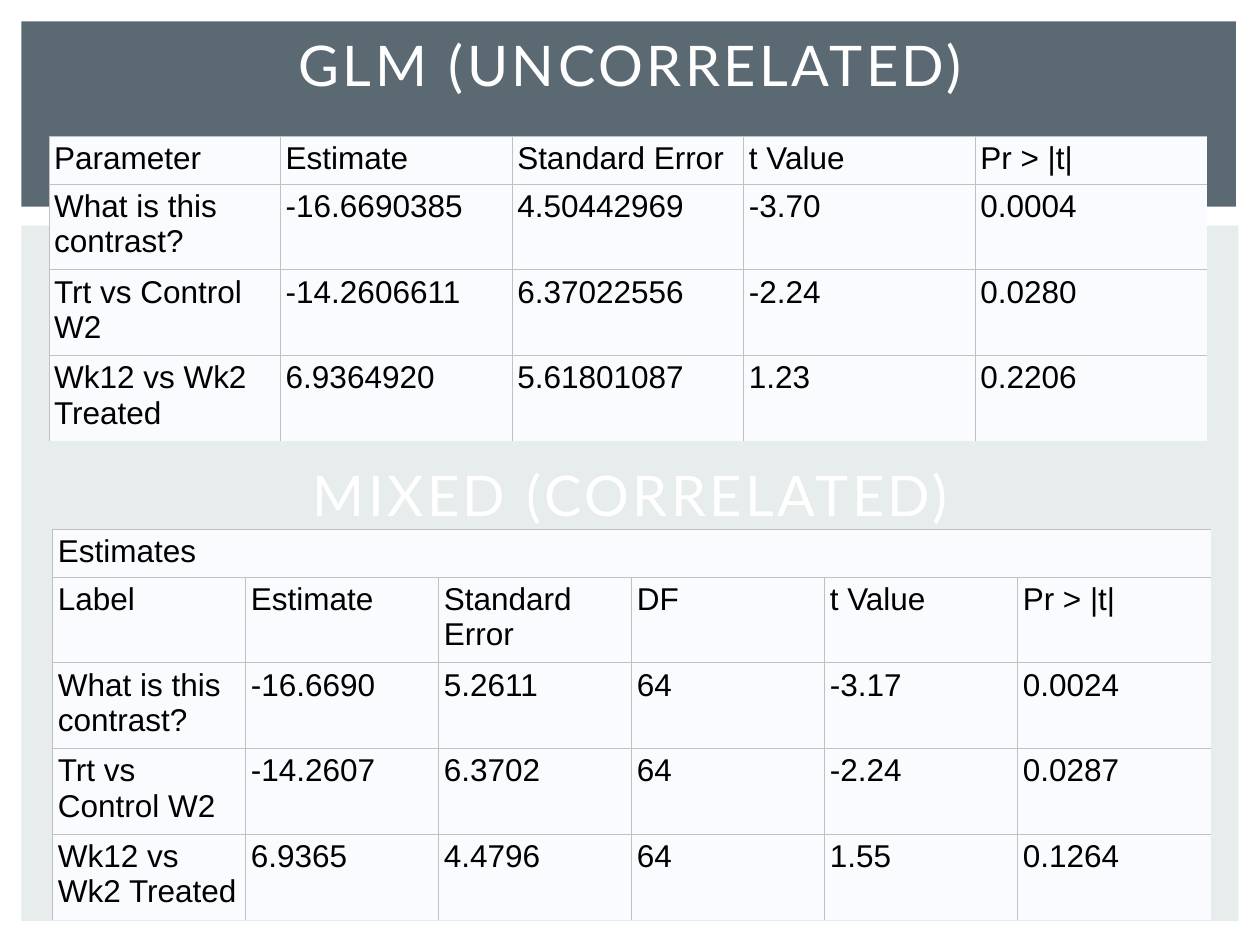
from dataclasses import dataclass

from lxml.etree import SubElement
from pptx import Presentation
from pptx.dml.color import RGBColor
from pptx.enum.shapes import MSO_SHAPE as Shape
from pptx.enum.text import MSO_ANCHOR as Anchor, PP_ALIGN as Align
from pptx.oxml.ns import qn
from pptx.util import Inches, Pt

SLATE, MIST, WHITE, BLACK = "5B6973", "E7ECED", "FFFFFF", "000000"
CELL_FILL, RULE = "FAFBFE", "C1C1C1"
TABLE_WIDTH = 9.19
LINE_HEIGHT, CELL_MARGIN = 0.28, 0.04


@dataclass
class Band:
    left: float
    top: float
    width: float
    height: float
    color: str


@dataclass
class Title:
    text: str
    top: float


@dataclass
class ResultTable:
    left: float
    top: float
    rows: list[list[str]]
    lines: list[int]  # text lines in each row
    has_caption: bool = False


BANDS = [
    Band(0.17, 1.79, 9.66, 5.52, MIST),
    Band(0.17, 0.17, 9.64, 1.47, SLATE),
]
TITLES = [Title("GLM (UNCORRELATED)", -0.07), Title("MIXED (CORRELATED)", 3.35)]
TABLES = [
    ResultTable(0.39, 1.08, [
        ["Parameter", "Estimate", "Standard Error", "t Value", "Pr > |t|"],
        ["What is this contrast?", "-16.6690385", "4.50442969", "-3.70", "0.0004"],
        ["Trt vs Control W2", "-14.2606611", "6.37022556", "-2.24", "0.0280"],
        ["Wk12 vs Wk2 Treated", "6.9364920", "5.61801087", "1.23", "0.2206"],
    ], [1, 2, 2, 2]),
    ResultTable(0.42, 4.2, [
        ["Estimates"],
        ["Label", "Estimate", "Standard Error", "DF", "t Value", "Pr > |t|"],
        ["What is this contrast?", "-16.6690", "5.2611", "64", "-3.17", "0.0024"],
        ["Trt vs Control W2", "-14.2607", "6.3702", "64", "-2.24", "0.0287"],
        ["Wk12 vs Wk2 Treated", "6.9365", "4.4796", "64", "1.55", "0.1264"],
    ], [1, 2, 2, 2, 2], has_caption=True),
]


def rgb(color: str) -> RGBColor:
    return RGBColor.from_string(color)


def write(frame, text: str, *, font: str, size: float, color: str,
          align=Align.LEFT, spacing: float = 0) -> None:
    para = frame.paragraphs[0]
    para.alignment = align
    span = para.add_run()
    span.text = text
    span.font.name = font
    span.font.size = Pt(size)
    span.font.color.rgb = rgb(color)
    if spacing:
        span._r.get_or_add_rPr().set("spc", str(round(spacing * 100)))


def draw_band(slide, band: Band) -> None:
    shape = slide.shapes.add_shape(
        Shape.RECTANGLE, Inches(band.left), Inches(band.top),
        Inches(band.width), Inches(band.height))
    shape.shadow.inherit = False
    shape.fill.solid()
    shape.fill.fore_color.rgb = rgb(band.color)
    shape.line.fill.background()


def draw_title(slide, title: Title) -> None:
    box = slide.shapes.add_textbox(
        Inches(0.42), Inches(title.top), Inches(9.17), Inches(1.15))
    frame = box.text_frame
    frame.word_wrap = True
    frame.vertical_anchor = Anchor.MIDDLE
    write(frame, title.text, font="Lato", size=32, color=WHITE,
          align=Align.CENTER, spacing=2)


def set_borders(cell, sides: str) -> None:
    """Rule the given sides (L, R, T, B) and leave the others open."""
    properties = cell._tc.get_or_add_tcPr()
    for side in "LRTB":
        line = SubElement(properties, qn(f"a:ln{side}"), w=str(Pt(0.6)))
        if side in sides:
            fill = SubElement(line, qn("a:solidFill"))
            SubElement(fill, qn("a:srgbClr"), val=RULE)
        else:
            SubElement(line, qn("a:noFill"))


def draw_table(slide, result: ResultTable) -> None:
    row_count, column_count = len(result.rows), len(result.rows[-1])
    heights = [count * LINE_HEIGHT + 2 * CELL_MARGIN for count in result.lines]
    table = slide.shapes.add_table(
        row_count, column_count, Inches(result.left), Inches(result.top),
        Inches(TABLE_WIDTH), Inches(sum(heights))).table
    table.first_row = table.horz_banding = False
    for column in table.columns:
        column.width = Inches(TABLE_WIDTH / column_count)
    for row, height in zip(table.rows, heights):
        row.height = Inches(height)
    if result.has_caption:
        table.cell(0, 0).merge(table.cell(0, column_count - 1))

    for r in range(row_count):
        for c in range(column_count):
            cell = table.cell(r, c)
            # The right and bottom edges of the table stay open
            sides = "T" if cell.is_spanned else "LT"
            if r < row_count - 1:
                sides += "B"
            if c < len(result.rows[r]) - 1:
                sides += "R"
            set_borders(cell, sides)
            cell.fill.solid()
            cell.fill.fore_color.rgb = rgb(CELL_FILL)
            cell.margin_left = cell.margin_right = Inches(CELL_MARGIN)
            cell.margin_top = cell.margin_bottom = Inches(CELL_MARGIN)
            if not cell.is_spanned:
                write(cell.text_frame, result.rows[r][c],
                      font="Arial", size=18, color=BLACK)


def main() -> None:
    deck = Presentation()
    deck.slide_width, deck.slide_height = Inches(10), Inches(7.5)
    slide = deck.slides.add_slide(deck.slide_layouts[6])

    # Background bands
    for band in BANDS:
        draw_band(slide, band)
    # Headings
    for title in TITLES:
        draw_title(slide, title)
    # Model results
    for result in TABLES:
        draw_table(slide, result)

    deck.save("out.pptx")


if __name__ == "__main__":
    main()
